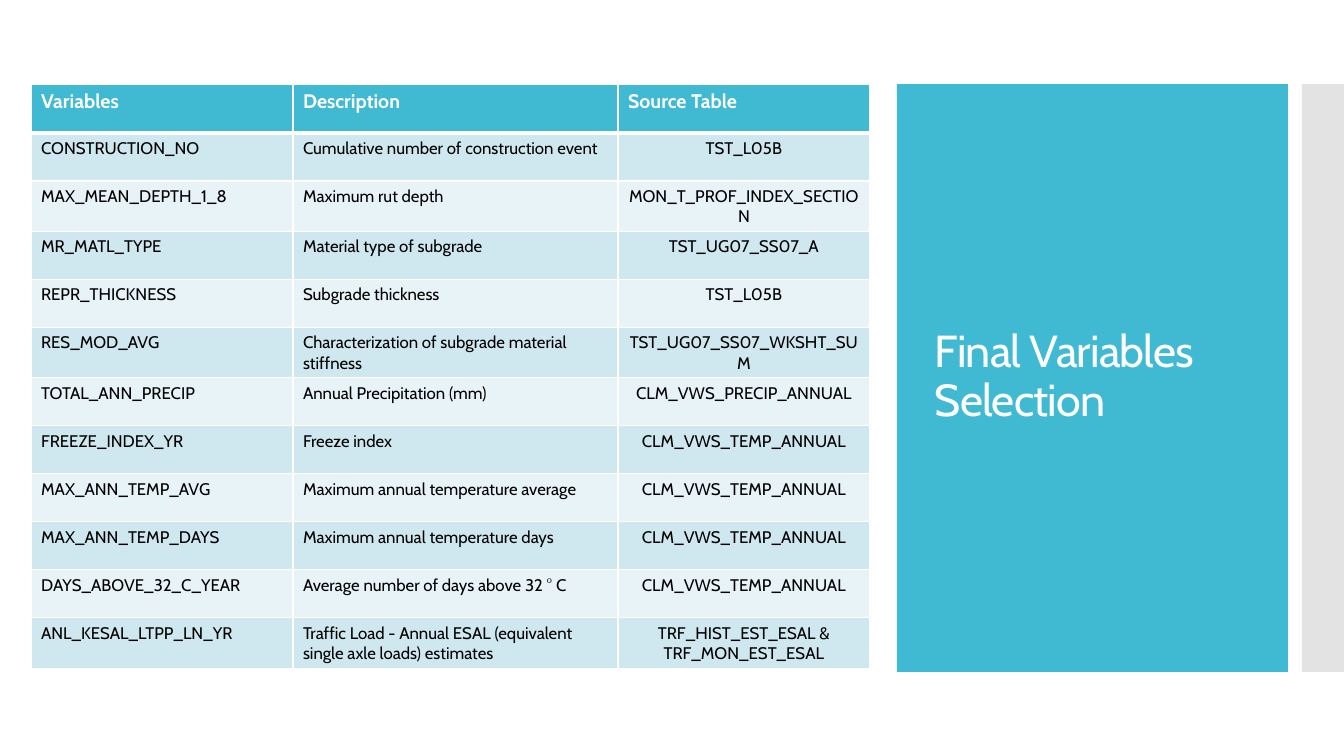
"""Build the slide that lists the final variables and their source tables."""
from dataclasses import dataclass

from lxml.etree import SubElement
from pptx import Presentation
from pptx.dml.color import RGBColor
from pptx.enum.shapes import MSO_SHAPE
from pptx.enum.text import MSO_ANCHOR, PP_ALIGN
from pptx.oxml.ns import qn
from pptx.util import Pt

TITLE = "Final Variables Selection"
HEADER = ("Variables", "Description", "Source Table")
VARIABLES = [
    ("CONSTRUCTION_NO", "Cumulative number of construction event", "TST_L05B"),
    ("MAX_MEAN_DEPTH_1_8", "Maximum rut depth", "MON_T_PROF_INDEX_SECTION"),
    ("MR_MATL_TYPE", "Material type of subgrade", "TST_UG07_SS07_A"),
    ("REPR_THICKNESS", "Subgrade thickness", "TST_L05B"),
    ("RES_MOD_AVG", "Characterization of subgrade material stiffness", "TST_UG07_SS07_WKSHT_SUM"),
    ("TOTAL_ANN_PRECIP", "Annual Precipitation (mm)", "CLM_VWS_PRECIP_ANNUAL"),
    ("FREEZE_INDEX_YR", "Freeze index", "CLM_VWS_TEMP_ANNUAL"),
    ("MAX_ANN_TEMP_AVG", "Maximum annual temperature average", "CLM_VWS_TEMP_ANNUAL"),
    ("MAX_ANN_TEMP_DAYS", "Maximum annual temperature days", "CLM_VWS_TEMP_ANNUAL"),
    ("DAYS_ABOVE_32_C_YEAR", "Average number of days above 32 ° C", "CLM_VWS_TEMP_ANNUAL"),
    ("ANL_KESAL_LTPP_LN_YR", "Traffic Load - Annual ESAL (equivalent single axle loads) estimates",
     "TRF_HIST_EST_ESAL & TRF_MON_EST_ESAL"),
]

SLIDE_SIZE = (1344, 756)
PANEL_BOX = (897, 84, 391, 588)
TITLE_BOX = (925, 124, 325, 507)
EDGE_BOX = (1302, 84, 42, 588)
TABLE_LEFT, TABLE_TOP = 31, 84
COLUMN_WIDTHS = (262, 325, 252)
HEADER_HEIGHT, ROW_HEIGHT = 49, 48


@dataclass(frozen=True)
class Theme:
    """Hold the colours, font and type sizes."""
    font: str = "Cabin"
    accent: str = "40BAD2"
    edge: str = "C8C8C8"
    bands: tuple = ("CFE7EE", "E8F3F7")
    light: str = "FFFFFF"
    dark: str = "000000"
    title_size: int = 32
    header_size: int = 14
    body_size: int = 12
    rule: int = 1
    header_rule: int = 3


THEME = Theme()


def px(length):
    """Turn pixels into EMU."""
    return round(length * 914400 / 100.8)


def write(frame, text, *, size, color, bold=False, align=PP_ALIGN.LEFT, line_spacing=None, tracking=None):
    """Put formatted text into a text frame."""
    paragraph = frame.paragraphs[0]
    paragraph.alignment = align
    if line_spacing:
        paragraph.line_spacing = line_spacing
    run = paragraph.add_run()
    run.text = text
    run.font.name = THEME.font
    run.font.size = Pt(size)
    run.font.bold = bold
    run.font.color.rgb = RGBColor.from_string(color)
    if tracking:
        run.font._element.set("spc", str(tracking))


def add_block(slide, box, color, opacity=100):
    """Add a plain rectangle."""
    shape = slide.shapes.add_shape(MSO_SHAPE.RECTANGLE, *map(px, box))
    shape.shadow.inherit = False
    shape.line.fill.background()
    shape.fill.solid()
    shape.fill.fore_color.rgb = RGBColor.from_string(color)
    if opacity < 100:
        color_element = shape._element.spPr.find(qn("a:solidFill"))[0]
        SubElement(color_element, qn("a:alpha"), val=str(opacity * 1000))


def style_cell(cell, fill, top, bottom):
    """Set the borders and fill of a cell."""
    properties = cell._tc.get_or_add_tcPr()
    for side, width in (("L", THEME.rule), ("R", THEME.rule), ("T", top), ("B", bottom)):
        border = SubElement(properties, qn(f"a:ln{side}"), w=str(Pt(width)))
        solid = SubElement(border, qn("a:solidFill"))
        SubElement(solid, qn("a:srgbClr"), val=THEME.light)
    cell.fill.solid()
    cell.fill.fore_color.rgb = RGBColor.from_string(fill)


def add_variables_table(slide):
    """Add the table of variables."""
    rows = [HEADER, *VARIABLES]
    heights = [HEADER_HEIGHT] + [ROW_HEIGHT] * len(VARIABLES)
    box = (TABLE_LEFT, TABLE_TOP, sum(COLUMN_WIDTHS), sum(heights))
    table = slide.shapes.add_table(len(rows), len(HEADER), *map(px, box)).table
    table.horz_banding = False
    for column, width in zip(table.columns, COLUMN_WIDTHS):
        column.width = px(width)
    for row_index, (texts, height) in enumerate(zip(rows, heights)):
        table.rows[row_index].height = px(height)
        is_header = row_index == 0
        fill = THEME.accent if is_header else THEME.bands[(row_index - 1) % 2]
        top = THEME.header_rule if row_index == 1 else THEME.rule
        bottom = THEME.header_rule if is_header else THEME.rule
        for column_index, text in enumerate(texts):
            cell = table.cell(row_index, column_index)
            style_cell(cell, fill, top, bottom)
            centered = column_index == 2 and not is_header
            write(cell.text_frame, text, bold=is_header,
                  size=THEME.header_size if is_header else THEME.body_size,
                  color=THEME.light if is_header else THEME.dark,
                  align=PP_ALIGN.CENTER if centered else PP_ALIGN.LEFT)


def add_title(slide):
    """Add the title over the panel."""
    frame = slide.shapes.add_textbox(*map(px, TITLE_BOX)).text_frame
    frame.word_wrap = True
    frame.vertical_anchor = MSO_ANCHOR.MIDDLE
    write(frame, TITLE, size=THEME.title_size, color=THEME.light, line_spacing=0.9, tracking=-60)


def main():
    """Build and save the presentation."""
    presentation = Presentation()
    presentation.slide_width, presentation.slide_height = map(px, SLIDE_SIZE)
    slide = presentation.slides.add_slide(presentation.slide_layouts[6])
    add_block(slide, PANEL_BOX, THEME.accent)
    add_title(slide)
    add_block(slide, EDGE_BOX, THEME.edge, opacity=50)
    add_variables_table(slide)
    presentation.save("out.pptx")


if __name__ == "__main__":
    main()
